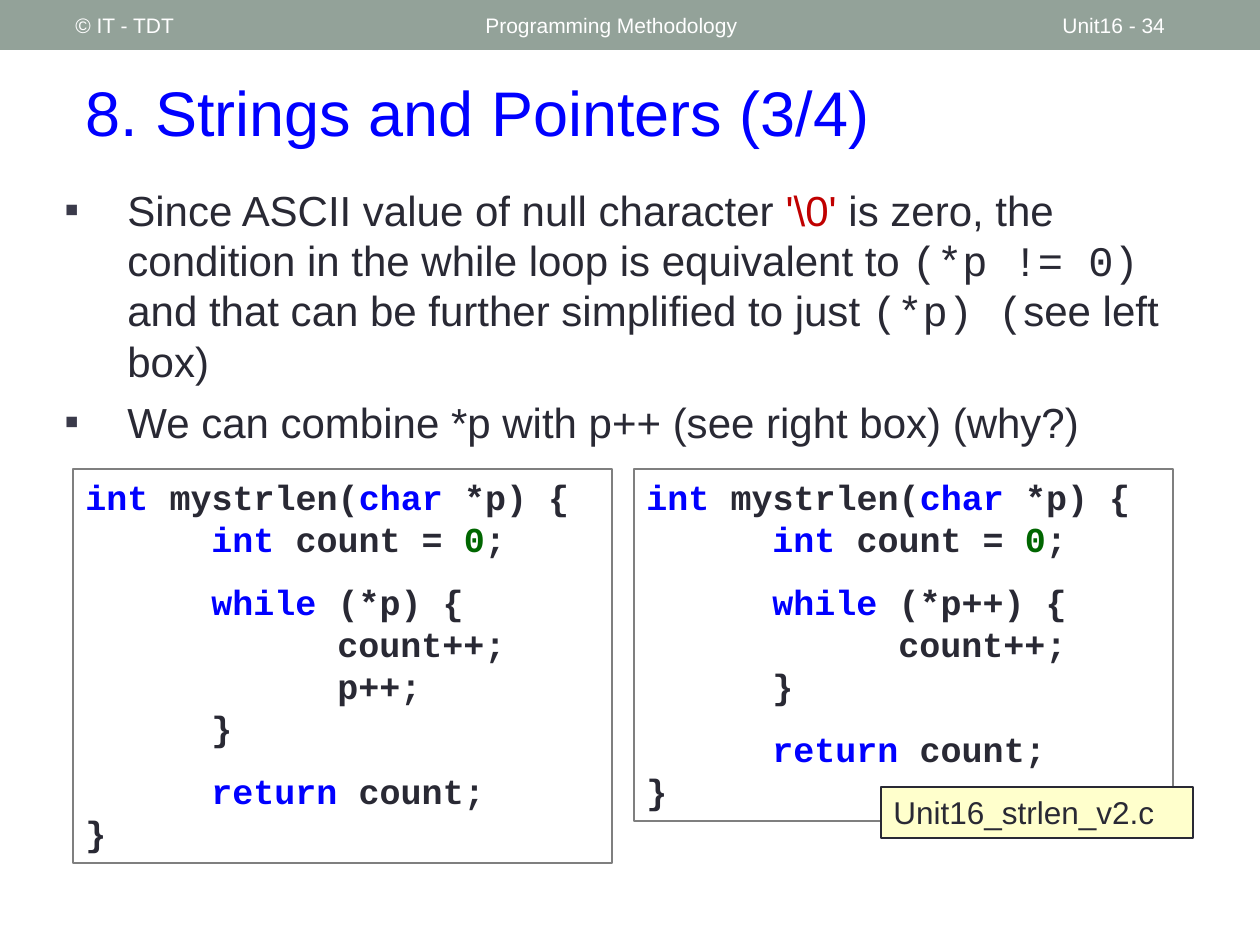
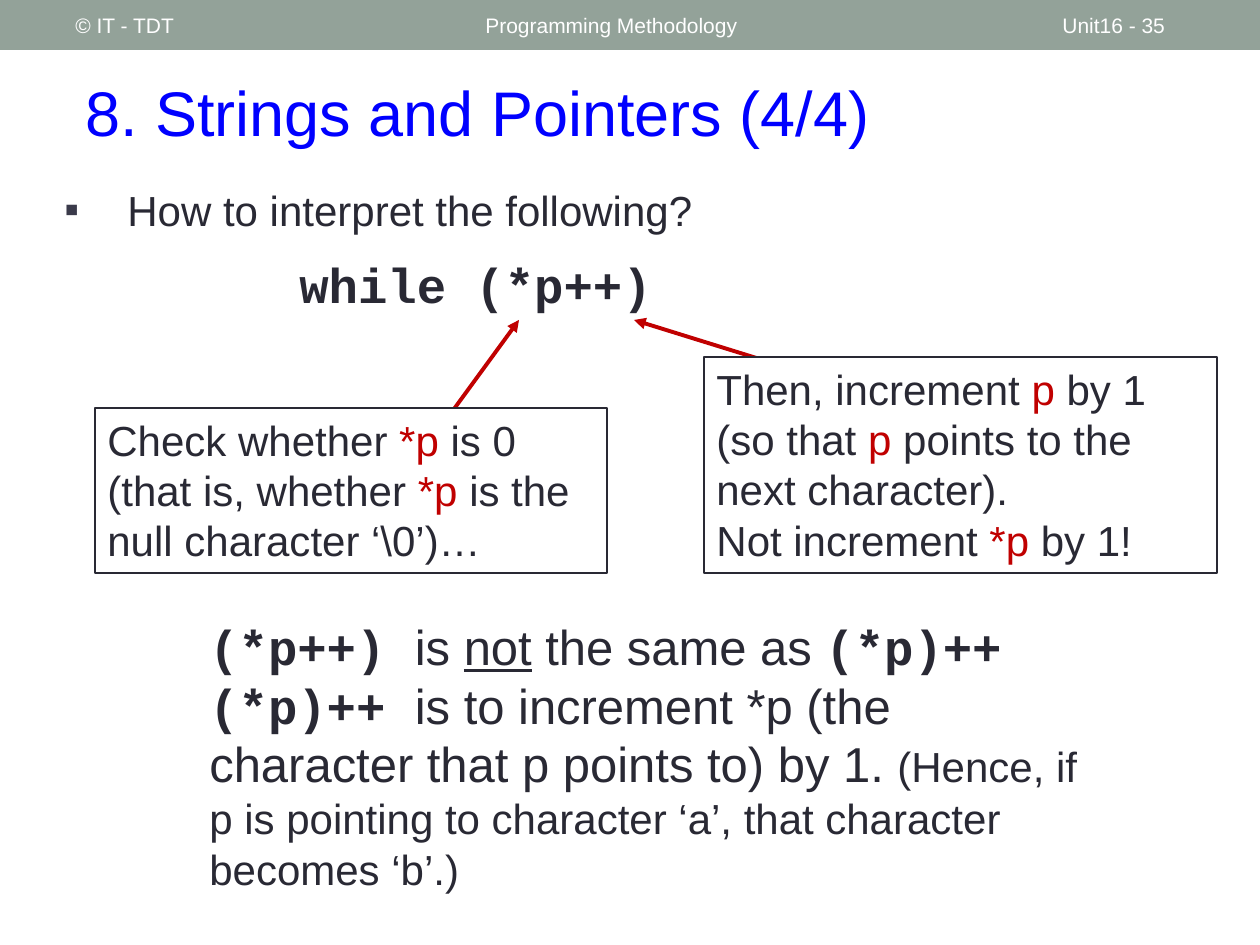
from lxml import etree
from pptx import Presentation, util as u
from pptx.dml import color
from pptx.enum import shapes, text
from pptx.oxml import ns

PX = 914400 / 126
INK, RED, BLUE, GREEN = "292934", "C00000", "0000FF", "006600"
BAND, WHITE, BULLET = "93A299", "FFFFFF", "3A3A4A"
SANS, MONO = "Arial", "Courier New"

# Run styles: what differs from the style of the element
red = {"ink": RED}
keyword = {"ink": BLUE}
number = {"ink": GREEN}
mono = {"face": MONO}
bold_mono = {"face": MONO, "bold": True}
underlined = {"underline": True}
small = {"size": 24}


def px(length):
    return u.Emu(round(length * PX))


def rgb(value):
    return color.RGBColor.from_string(value)


def add_xml(parent, tag, **attributes):
    return etree.SubElement(parent, ns.qn(tag), attributes)


class Deck:
    def __init__(self):
        self.prs = Presentation()
        self.prs.slide_width, self.prs.slide_height = px(1260), px(945)
        self.slide = None

    def new_slide(self, title, page):
        self.slide = self.prs.slides.add_slide(self.prs.slide_layouts[6])
        self.box((0, 0, 1260, 50), fill=BAND)
        self.label((73, 53, 1155, 116), title, 36, BLUE)
        self.label((473, 3, 567, 45), "Programming Methodology", 12, WHITE)
        self.label((1050, 3, 147, 45), f"Unit16 - {page}", 12, WHITE)
        self.label((63, 3, 399, 45), "© IT - TDT", 12, WHITE)

    def add_runs(self, paragraph, runs, size=24, ink=INK, face=SANS, bold=False):
        """Fill a paragraph; each run is a plain string or (string, style)."""
        paragraph.alignment = text.PP_ALIGN.LEFT
        for part in runs:
            words, style = (part, {}) if isinstance(part, str) else part
            run = paragraph.add_run()
            run.text = words
            font = run.font
            font.size = u.Pt(style.get("size", size))
            font.name = style.get("face", face)
            font.bold = style.get("bold", bold)
            font.underline = style.get("underline", False)
            font.color.rgb = rgb(style.get("ink", ink))

    def paragraphs(self, shape, lines, anchor=text.MSO_ANCHOR.TOP, **style):
        frame = shape.text_frame
        frame.word_wrap = True
        frame.vertical_anchor = anchor
        for i, runs in enumerate(lines):
            paragraph = frame.add_paragraph() if i else frame.paragraphs[0]
            self.add_runs(paragraph, runs, **style)
        return frame.paragraphs

    def text_box(self, area, lines, **style):
        shape = self.slide.shapes.add_textbox(*map(px, area))
        return self.paragraphs(shape, lines, **style)

    def label(self, area, words, size, ink):
        self.text_box(area, [[words]], anchor=text.MSO_ANCHOR.MIDDLE, size=size, ink=ink)

    def box(self, area, lines=(), fill=None, line=None, width=0.75, **style):
        shape = self.slide.shapes.add_shape(shapes.MSO_SHAPE.RECTANGLE, *map(px, area))
        shape.shadow.inherit = False
        if fill:
            shape.fill.solid()
            shape.fill.fore_color.rgb = rgb(fill)
        else:
            shape.fill.background()
        if line:
            shape.line.color.rgb = rgb(line)
            shape.line.width = u.Pt(width)
        else:
            shape.line.fill.background()
        return self.paragraphs(shape, lines, **style)

    def bullets(self, height, lines):
        for i, paragraph in enumerate(self.text_box((52, 178, 1164, height), lines)):
            paragraph.space_before = u.Pt(6 if i else 0)
            props = paragraph._p.get_or_add_pPr()
            props.set("marL", str(px(63)))
            props.set("indent", str(-px(63)))
            add_xml(add_xml(props, "a:buClr"), "a:srgbClr", val=BULLET)
            add_xml(props, "a:buFont", typeface=SANS)
            add_xml(props, "a:buChar", char="▪")

    def listing(self, left, height, condition, steps):
        """A string length function; every line is (level, gap before, runs)."""
        lines = [
            (0, 0, [("int", keyword), " mystrlen(", ("char", keyword), " *p) {"]),
            (1, 0, [("int ", keyword), "count = ", ("0", number), ";"]),
            (1, 12, [("while ", keyword), f"({condition}) {{"]),
            *[(2, 0, [step]) for step in steps],
            (1, 0, ["}"]),
            (1, 12, [("return ", keyword), "count;"]),
            (0, 0, ["}"]),
        ]
        rows = self.box((left, 469, 539, height), [runs for _, _, runs in lines],
                        line="7F7F7F", size=20, **bold_mono)
        for paragraph, (level, gap, _) in zip(rows, lines):
            paragraph.space_before = u.Pt(gap)
            paragraph._p.get_or_add_pPr().set("marL", str(px(126 * level)))

    def arrow(self, start, end):
        connector = self.slide.shapes.add_connector(
            shapes.MSO_CONNECTOR.STRAIGHT, *map(px, start + end))
        connector.line.color.rgb = rgb(RED)
        connector.line.width = u.Pt(2.25)
        props = connector._element.spPr
        add_xml(props.find(ns.qn("a:ln")), "a:tailEnd", type="triangle")
        add_xml(props, "a:effectLst")


deck = Deck()

# Simplifying the loop condition
deck.new_slide("8. Strings and Pointers (3/4)", 34)
deck.bullets(277, [
    ["Since ASCII value of null character ", ("'\\0' ", red),
     "is zero, the condition in the while loop is equivalent to ",
     ("(*p != 0) ", mono), "and that can be further simplified to just ",
     ("(*p) (", mono), "see left box)"],
    ["We can combine *p with p++ (see right box) (why?)"],
])
deck.listing(73, 394, "*p", ["count++;", "p++;"])
deck.listing(634, 352, "*p++", ["count++;"])
deck.box((881, 787, 312, 51), [["Unit16_strlen_v2.c"]],
         fill="FFFFCC", line=INK, width=1, size=18)

# Reading *p++
deck.new_slide("8. Strings and Pointers (4/4)", 35)
deck.bullets(100, [["How to interpret the following?"]])
deck.text_box((287, 248, 564, 72), [["while (*p++)"]], size=28, **bold_mono)

deck.arrow((435, 435), (519, 320))
deck.box((95, 408, 512, 165), [
    ["Check whether ", ("*p ", red), "is 0 (that is, whether ", ("*p ", red),
     "is the null character ‘\\0’)…"],
], fill=WHITE, line=INK)

deck.arrow((911, 406), (634, 320))
deck.box((704, 357, 513, 216), [
    ["Then, increment ", ("p", red), " by 1 (so that ", ("p", red),
     " points to the next character)."],
    ["Not increment ", ("*p ", red), "by 1!"],
], fill=WHITE, line=INK)

# Contrast with (*p)++
deck.text_box((197, 610, 906, 292), [
    [("(*p++) ", bold_mono), "is ", ("not", underlined), " the same as ",
     ("(*p)++", bold_mono)],
    [("(*p)++ ", bold_mono),
     "is to increment *p (the character that p points to) by 1. ",
     ("(Hence, if p is pointing to character ‘a’, that character becomes ‘b’.)", small)],
], size=28)

deck.prs.save("out.pptx")
